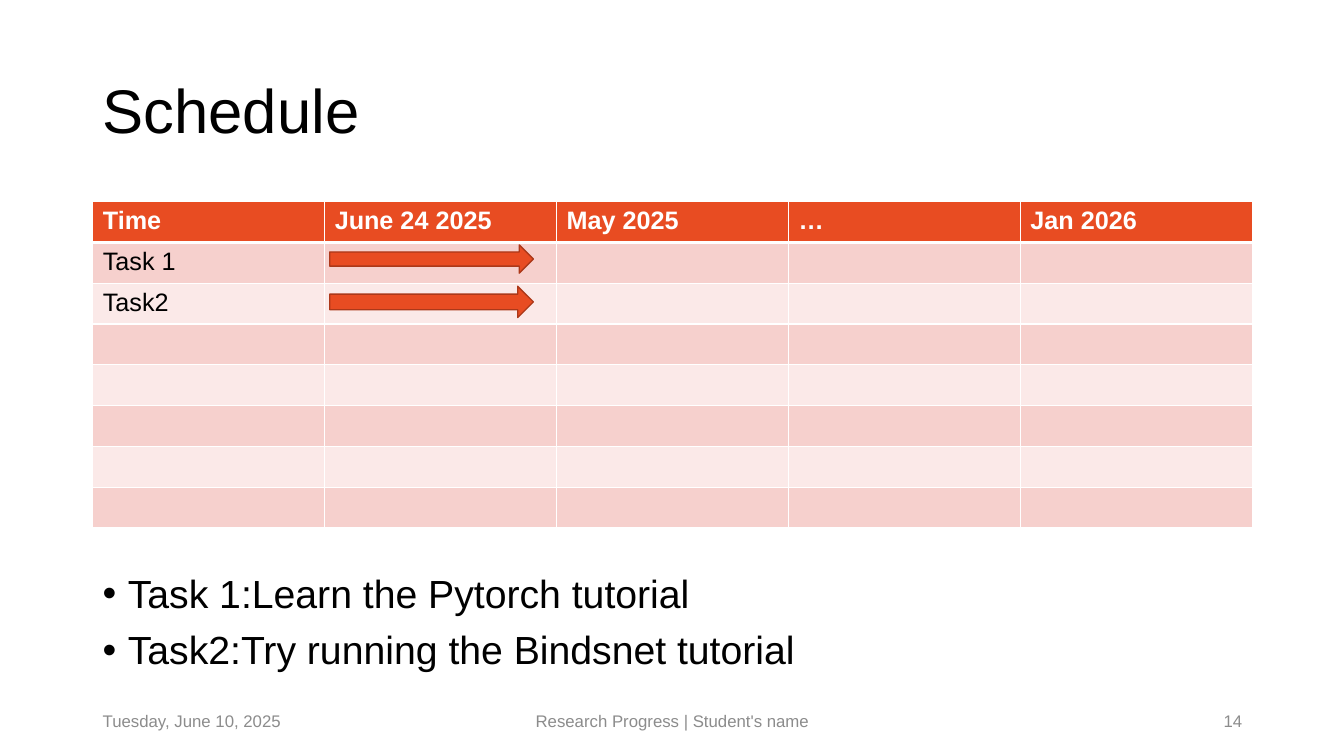
from lxml.etree import SubElement
from pptx import Presentation
from pptx.dml.color import RGBColor
from pptx.enum.shapes import MSO_SHAPE
from pptx.enum.text import MSO_ANCHOR, PP_ALIGN
from pptx.oxml.ns import qn
from pptx.util import Inches, Pt

BLACK = RGBColor(0x00, 0x00, 0x00)
WHITE = RGBColor(0xFF, 0xFF, 0xFF)
GREY = RGBColor(0x8C, 0x8C, 0x8C)
ORANGE = RGBColor(0xE8, 0x4C, 0x22)
RUST = RGBColor(0xAC, 0x38, 0x19)
BANDS = [RGBColor(0xFB, 0xE9, 0xE8), RGBColor(0xF6, 0xD0, 0xCD)]

LEFT, WIDTH = 0.92, 11.5
TABLE_TOP, ROW_COUNT, COLUMN_COUNT = 2, 8, 5
ROW_HEIGHT = 3.24 / ROW_COUNT
COLUMN_WIDTH = WIDTH / COLUMN_COUNT


def add_span(para, text, size, color, bold=False):
    span = para.add_run()
    span.text = text
    span.font.name = "Arial"
    span.font.size = Pt(size)
    span.font.bold = bold
    span.font.color.rgb = color


def add_box(left, top, width, height, anchor):
    box = page.shapes.add_textbox(Inches(left), Inches(top), Inches(width), Inches(height))
    box.text_frame.word_wrap = True
    box.text_frame.vertical_anchor = anchor
    return box.text_frame


deck = Presentation()
deck.slide_width, deck.slide_height = Inches(13.33), Inches(7.5)
page = deck.slides.add_slide(deck.slide_layouts[6])

title = add_box(LEFT, 0.4, WIDTH, 1.45, MSO_ANCHOR.MIDDLE).paragraphs[0]
title.line_spacing = 0.9
add_span(title, "Schedule", 44, BLACK)

schedule = page.shapes.add_table(
    ROW_COUNT, COLUMN_COUNT, Inches(LEFT), Inches(TABLE_TOP),
    Inches(WIDTH), Inches(ROW_HEIGHT * ROW_COUNT)).table
labels = [["Time", "June 24 2025", "May 2025", "…", "Jan 2026"], ["Task 1"], ["Task2"]]
for column in schedule.columns:
    column.width = Inches(COLUMN_WIDTH)
for row_index, row in enumerate(schedule.rows):
    row.height = Inches(ROW_HEIGHT)
    is_header = row_index == 0
    for column_index, cell in enumerate(row.cells):
        properties = cell._tc.get_or_add_tcPr()
        for side in "LRTB":
            thick = (row_index, side) in [(0, "B"), (1, "T")]
            border = SubElement(properties, qn(f"a:ln{side}"), w=str(Pt(3 if thick else 1)))
            SubElement(SubElement(border, qn("a:solidFill")), qn("a:srgbClr"), val=str(WHITE))
        cell.fill.solid()
        cell.fill.fore_color.rgb = ORANGE if is_header else BANDS[row_index % 2]
        if row_index < len(labels) and column_index < len(labels[row_index]):
            add_span(cell.text_frame.paragraphs[0], labels[row_index][column_index],
                     18, WHITE if is_header else BLACK, is_header)

for top, height in [(2.43, 0.28), (2.84, 0.31)]:
    arrow = page.shapes.add_shape(
        MSO_SHAPE.RIGHT_ARROW, Inches(LEFT + COLUMN_WIDTH + 0.05), Inches(top),
        Inches(2.02), Inches(height))
    arrow.shadow.inherit = False
    arrow.fill.solid()
    arrow.fill.fore_color.rgb = ORANGE
    arrow.line.color.rgb = RUST
    arrow.line.width = Pt(1)

tasks = add_box(LEFT, 5.65, WIDTH, 1.11, MSO_ANCHOR.TOP)
for index, task in enumerate(["Task 1:Learn the Pytorch tutorial",
                              "Task2:Try running the Bindsnet tutorial"]):
    para = tasks.add_paragraph() if index else tasks.paragraphs[0]
    para.line_spacing = 0.9
    para.space_before = Pt(10 if index else 0)
    bullet = para._p.get_or_add_pPr()
    bullet.set("marL", str(Inches(0.25)))
    bullet.set("indent", str(-Inches(0.25)))
    SubElement(bullet, qn("a:buFont"), typeface="Arial")
    SubElement(bullet, qn("a:buChar"), char="•")
    add_span(para, task, 28, BLACK)

for left, width, align, text in [
    (LEFT, 3, PP_ALIGN.LEFT, "Tuesday, June 10, 2025"),
    (LEFT + 3.5, 4.5, PP_ALIGN.CENTER, "Research Progress | Student's name"),
    (LEFT + 8.5, 3, PP_ALIGN.RIGHT, "14"),
]:
    para = add_box(left, 6.95, width, 0.4, MSO_ANCHOR.MIDDLE).paragraphs[0]
    para.alignment = align
    add_span(para, text, 12, GREY)

deck.save("out.pptx")
